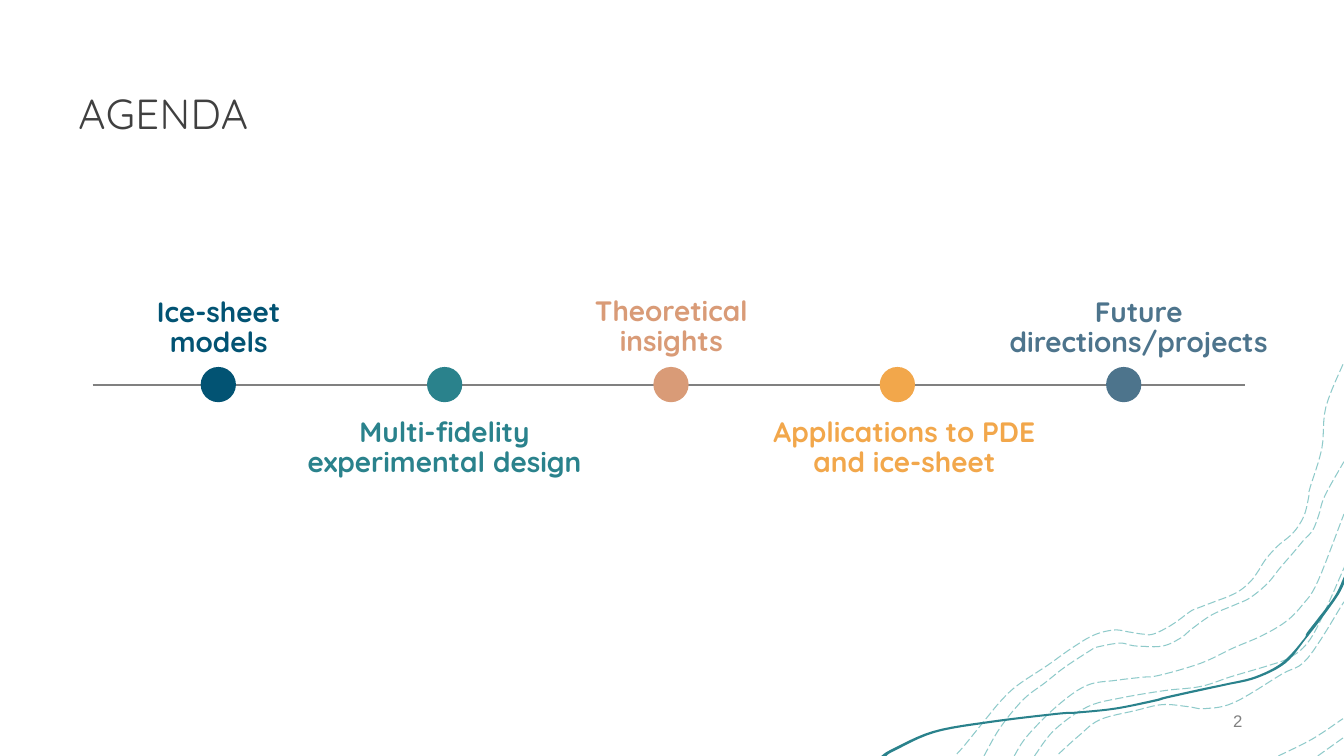
from dataclasses import dataclass

from lxml.etree import SubElement
from pptx import Presentation
from pptx.dml.color import RGBColor
from pptx.enum.dml import MSO_LINE
from pptx.enum.shapes import MSO_CONNECTOR, MSO_SHAPE
from pptx.enum.text import MSO_ANCHOR, PP_ALIGN
from pptx.oxml.ns import qn
from pptx.shapes.autoshape import Shape
from pptx.slide import Slide
from pptx.util import Inches, Pt

Point = tuple[float, float]
Box = tuple[float, float, float, float]


@dataclass(frozen=True)
class Theme:
    font: str = "Quicksand"
    plain: str = "Arial"
    ink: str = "404040"
    gray: str = "808080"
    teal: str = "2A828C"
    mint: str = "41A6A6"
    navy: str = "025373"
    clay: str = "D99B77"
    gold: str = "F2A74B"
    slate: str = "4D748C"
    title: int = 30
    label: int = 20
    number: int = 12


@dataclass(frozen=True)
class Style:
    font: str
    size: int
    color: str
    align: PP_ALIGN
    bold: bool = False
    space: float = 1.0
    track: int = 0


@dataclass(frozen=True)
class Stop:
    text: str
    color: str
    box: Box


THEME = Theme()

STOPS = [
    Stop("Ice-sheet models", THEME.navy, (1.17, 3.09, 2, 0.34)),
    Stop("Multi-fidelity experimental design", THEME.teal, (2.91, 4.09, 3, 0.71)),
    Stop("Theoretical insights", THEME.clay, (5.66, 3.08, 2, 0.34)),
    Stop("Applications to PDE and ice-sheet", THEME.gold, (7.52, 4.17, 2.9, 0.56)),
    Stop("Future directions/projects", THEME.slate, (9.91, 3.08, 2.77, 0.35)),
]

WAVES: list[list[Point]] = [
    [(9.49, 7.48), (9.57, 7.39), (9.78, 7.13), (9.93, 6.95), (10.09, 6.8), (10.39, 6.6),
     (10.63, 6.43), (10.85, 6.3), (11.05, 6.25), (11.2, 6.27), (11.33, 6.29), (11.44, 6.29),
     (11.62, 6.2), (11.8, 6.07), (11.86, 6.04), (12.07, 5.96), (12.2, 5.91), (12.31, 5.85),
     (12.41, 5.76), (12.47, 5.68), (12.56, 5.54), (12.68, 5.41), (12.79, 5.32), (12.87, 5.23),
     (12.94, 5.1), (12.98, 4.93), (12.99, 4.85), (13.11, 4.45), (13.15, 4.04), (13.33, 3.59)],
    [(9.76, 7.5), (9.92, 7.22), (10.15, 6.94), (10.37, 6.77), (10.56, 6.62), (10.82, 6.45),
     (10.88, 6.42), (11.1, 6.38), (11.21, 6.4), (11.29, 6.41), (11.53, 6.41), (11.71, 6.33),
     (11.82, 6.24), (12.02, 6.1), (12.25, 6), (12.4, 5.93), (12.57, 5.79), (12.7, 5.63),
     (12.83, 5.48), (12.93, 5.36), (13.02, 5.26), (13.08, 5.11), (13.14, 4.92), (13.33, 4.58)],
    [(13.07, 7.5), (13.35, 7.3)],
    [(12.68, 7.5), (13.02, 7.33), (13.32, 7.13)],
    [(10.5, 7.48), (10.7, 7.3), (10.91, 7.14), (11.26, 7.05), (11.53, 6.99), (11.78, 7.01),
     (11.95, 7.03), (12.24, 6.97), (12.71, 6.69), (12.97, 6.53), (13.33, 5.97)],
    [(10.26, 7.5), (10.46, 7.24), (10.79, 7.01), (11.14, 6.92), (11.56, 6.85), (11.91, 6.81),
     (12.22, 6.71), (12.59, 6.6), (12.78, 6.53), (12.95, 6.4), (13.1, 6.15), (13.35, 5.59)],
    [(10.06, 7.5), (10.19, 7.3), (10.49, 7), (10.78, 6.8), (11.07, 6.75), (11.32, 6.72),
     (11.5, 6.7), (11.91, 6.58), (12.23, 6.43), (12.51, 6.31), (12.75, 6.17), (12.92, 6),
     (13.07, 5.77), (13.33, 5.1)],
]

LOWER: list[Point] = [
    (13.35, 5.75), (13.27, 5.91), (13.09, 6.16), (12.99, 6.29), (12.95, 6.34), (12.75, 6.58),
    (12.46, 6.73), (12.16, 6.8), (11.93, 6.85), (11.57, 6.93), (11.46, 6.96), (11.06, 7.04),
    (10.67, 7.08), (10.5, 7.09), (9.84, 7.17), (9.27, 7.27), (8.87, 7.45), (8.79, 7.5)]
UPPER: list[Point] = [
    (8.74, 7.5), (8.85, 7.43), (9.26, 7.25), (9.83, 7.15), (10.5, 7.07), (10.67, 7.06),
    (11.06, 7.02), (11.45, 6.94), (11.56, 6.91), (11.92, 6.83), (12.16, 6.78), (12.45, 6.71),
    (12.72, 6.57), (12.93, 6.34), (12.96, 6.28), (13.06, 6.15), (13.24, 5.91), (13.33, 5.72),
    (13.35, 5.69)]


def paint(code: str) -> RGBColor:
    return RGBColor.from_string(code)


def curve(knots: list[Point], steps: int = 6) -> list[Point]:
    ends = [knots[0], *knots, knots[-1]]
    dots = [knots[0]]
    for a, b, c, d in zip(ends, ends[1:], ends[2:], ends[3:]):
        for step in range(1, steps + 1):
            t = step / steps
            x, y = (
                q + t * (r - p) / 2
                + t**2 * (2 * p - 5 * q + 4 * r - s) / 2
                + t**3 * (3 * q - p - 3 * r + s) / 2
                for p, q, r, s in zip(a, b, c, d)
            )
            dots.append((x, y))
    return dots


def trace(slide: Slide, dots: list[Point], close: bool) -> Shape:
    spots = [(Inches(x), Inches(y)) for x, y in dots]
    pen = slide.shapes.build_freeform(*spots[0])
    pen.add_line_segments(spots[1:], close=close)
    shape = pen.convert_to_shape()
    shape.shadow.inherit = False
    return shape


def add_wave(slide: Slide, knots: list[Point]) -> None:
    wave = trace(slide, curve(knots), False)
    wave.fill.background()
    wave.line.color.rgb = paint(THEME.mint)
    wave.line.width = Pt(0.75)
    wave.line.dash_style = MSO_LINE.LONG_DASH
    tint = wave._element.xpath(".//a:ln//a:srgbClr")[0]
    SubElement(tint, qn("a:alpha"), val="58000")


def fill_in(shape: Shape, color: str) -> None:
    shape.shadow.inherit = False
    shape.fill.solid()
    shape.fill.fore_color.rgb = paint(color)
    shape.line.fill.background()


def add_text(slide: Slide, text: str, box: Box, style: Style) -> None:
    frame = slide.shapes.add_textbox(*map(Inches, box)).text_frame
    frame.word_wrap = True
    frame.vertical_anchor = MSO_ANCHOR.MIDDLE
    para = frame.paragraphs[0]
    para.alignment = style.align
    para.line_spacing = style.space
    run = para.add_run()
    run.text = text
    run.font.name = style.font
    run.font.size = Pt(style.size)
    run.font.bold = style.bold
    run.font.color.rgb = paint(style.color)
    if style.track:
        run._r.get_or_add_rPr().set("spc", str(style.track))


def add_axis(slide: Slide) -> None:
    axis = slide.shapes.add_connector(
        MSO_CONNECTOR.STRAIGHT, Inches(0.92), Inches(3.82), Inches(12.35), Inches(3.82))
    axis.line.color.rgb = paint(THEME.gray)
    axis.line.width = Pt(1.5)
    SubElement(axis._element.spPr, qn("a:effectLst"))


def main() -> None:
    deck = Presentation()
    deck.slide_width, deck.slide_height = Inches(13.33), Inches(7.5)
    slide = deck.slides.add_slide(deck.slide_layouts[6])

    for knots in WAVES:
        add_wave(slide, knots)
    add_axis(slide)
    add_text(slide, "AGENDA", (0.68, 0.42, 12, 1.45),
             Style(THEME.font, THEME.title, THEME.ink, PP_ALIGN.LEFT, space=0.9, track=30))
    add_text(slide, "2", (9.42, 6.95, 3, 0.4),
             Style(THEME.plain, THEME.number, THEME.gray, PP_ALIGN.RIGHT))
    fill_in(trace(slide, curve(LOWER) + curve(UPPER), True), THEME.teal)

    size = Inches(0.35)
    for place, stop in enumerate(STOPS):
        left = Inches(1.99 + 8.98 * place / (len(STOPS) - 1))
        dot = slide.shapes.add_shape(MSO_SHAPE.OVAL, left, Inches(3.64), size, size)
        fill_in(dot, stop.color)
        add_text(slide, stop.text, stop.box,
                 Style(THEME.font, THEME.label, stop.color, PP_ALIGN.CENTER, True, 0.9))

    deck.save("out.pptx")


if __name__ == "__main__":
    main()
